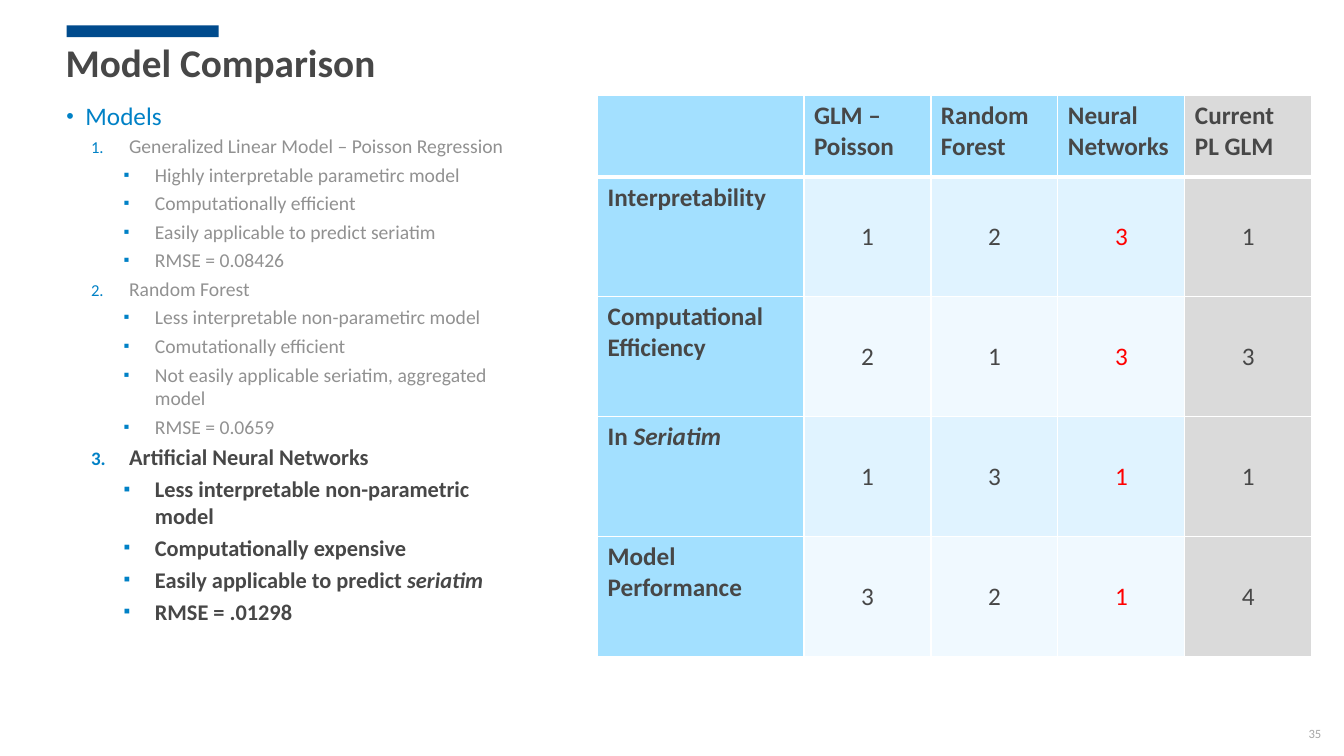
from lxml import etree
from pptx import Presentation
from pptx.dml import color
from pptx.enum import shapes, text
from pptx.oxml import ns
from pptx.util import Cm, Pt

FONT = "Calibri"
DARK, GREY, BLUE, RED, WHITE = "474747", "919191", "0081C6", "FF0000", "FFFFFF"
HEAD, BAND, BAND_ALT, CURRENT = "A3E0FF", "E0F3FF", "F0F9FF", "DADADA"

# Each model: name, text size, colour, bold, points (a point is a list of runs)
MODELS = [
    ("Generalized Linear Model – Poisson Regression", 14, GREY, False, [
        ["Highly interpretable parametirc model"],
        ["Computationally efficient"],
        ["Easily applicable to predict seriatim"],
        ["RMSE = 0.08426"]]),
    ("Random Forest", 14, GREY, False, [
        ["Less interpretable non-parametirc model"],
        ["Comutationally efficient"],
        ["Not easily applicable seriatim, aggregated model"],
        ["RMSE = 0.0659"]]),
    ("Artificial Neural Networks", 16, DARK, True, [
        ["Less interpretable non-parametric model"],
        ["Computationally expensive"],
        ["Easily applicable to predict ", "seriatim"],
        ["RMSE = .01298"]]),
]
COLUMNS = ["", "GLM – Poisson", "Random Forest", "Neural Networks", "Current PL GLM"]
RANKS = [
    (["Interpretability"], [1, 2, 3, 1]),
    (["Computational Efficiency"], [2, 1, 3, 3]),
    (["In ", "Seriatim"], [1, 3, 1, 1]),
    (["Model Performance"], [3, 2, 1, 4]),
]


def rgb(value):
    return color.RGBColor.from_string(value)


def place(sp, left, top, width, height):
    sp.left, sp.top, sp.width, sp.height = Cm(left), Cm(top), Cm(width), Cm(height)


def add_runs(p, runs, size, colour, bold=False):
    """Add the runs; every run after the first is italic."""
    for i, words in enumerate(runs):
        r = p.add_run()
        r.text = words
        r.font.name, r.font.size = FONT, Pt(size)
        r.font.bold, r.font.italic = bold, i > 0
        r.font.color.rgb = rgb(colour)


def sub(parent, tag, **attrs):
    return etree.SubElement(parent, ns.qn(tag), {k: str(v) for k, v in attrs.items()})


def set_bullet(p, indent, hanging, char=None):
    """Bullet with the given character, or a number if there is none."""
    ppr = p._p.get_or_add_pPr()
    ppr.set("marL", str(Cm(indent)))
    ppr.set("indent", str(-Cm(hanging)))
    sub(sub(ppr, "a:buClr"), "a:srgbClr", val=BLUE)
    sub(ppr, "a:buSzPct", val=85000)
    sub(ppr, "a:buFont", typeface="Arial" if char else FONT)
    if char:
        sub(ppr, "a:buChar", char=char)
    else:
        sub(ppr, "a:buAutoNum", type="arabicPeriod")


def add_item(tf, level, runs, size, colour, bold=False):
    first = not tf.paragraphs[0].runs
    p = tf.paragraphs[0] if first else tf.add_paragraph()
    p.level = level
    indent, hanging, char, after = [
        (0.48, 0.48, "•", 1.8), (1.58, 0.96, None, 3.6), (2.23, 0.79, "▪", 3.6)][level]
    set_bullet(p, indent, hanging, char)
    p.line_spacing = 0.95 if level == 0 else 1.0
    p.space_before, p.space_after = Pt(0), Pt(after)
    add_runs(p, runs, size, colour, bold)


def add_title(sp, words):
    place(sp, 1.4, 0.97, 30.48, 2.03)
    tf = sp.text_frame
    tf.auto_size = text.MSO_AUTO_SIZE.NONE
    tf.vertical_anchor = text.MSO_ANCHOR.TOP
    p = tf.paragraphs[0]
    p.alignment, p.line_spacing = text.PP_ALIGN.LEFT, 0.9
    add_runs(p, [words], 28, DARK, True)


def add_models(sp):
    place(sp, 1.42, 2.46, 11.53, 12.57)
    tf = sp.text_frame
    tf.auto_size = text.MSO_AUTO_SIZE.NONE
    add_item(tf, 0, ["Models"], 18, BLUE)
    for name, size, colour, bold, points in MODELS:
        add_item(tf, 1, [name], size, colour, bold)
        for runs in points:
            add_item(tf, 2, runs, size, colour, bold)


def add_accent_bar(slide):
    sp = slide.shapes.add_shape(
        shapes.MSO_SHAPE.RECTANGLE, Cm(1.68), Cm(0.64), Cm(3.83), Cm(0.3))
    sp.shadow.inherit = False
    sp.fill.solid()
    sp.fill.fore_color.rgb = rgb("004B8D")
    sp.line.fill.background()


def add_page_number(slide, number):
    sp = slide.shapes.add_textbox(Cm(32.44), Cm(17.98), Cm(1.4), Cm(1.02))
    tf = sp.text_frame
    tf.word_wrap = True
    tf.vertical_anchor = text.MSO_ANCHOR.MIDDLE
    tf.paragraphs[0].alignment = text.PP_ALIGN.CENTER
    add_runs(tf.paragraphs[0], [number], 9, "A6A6A6")


def set_cell(cell, runs, fill, colour=DARK, rank=False, top=1, bottom=1):
    tcpr = cell._tc.get_or_add_tcPr()
    for side, width in (("L", 1), ("R", 1), ("T", top), ("B", bottom)):
        line = sub(tcpr, "a:ln" + side, w=Pt(width))
        sub(sub(line, "a:solidFill"), "a:srgbClr", val=WHITE)
    cell.fill.solid()
    cell.fill.fore_color.rgb = rgb(fill)
    p = cell.text_frame.paragraphs[0]
    if rank:
        cell.vertical_anchor = text.MSO_ANCHOR.MIDDLE
        p.alignment = text.PP_ALIGN.CENTER
    add_runs(p, [words for words in runs if words], 18, colour, not rank)


def add_rank_table(slide):
    widths = [5.2] + [3.2] * 4
    heights = [2.06] + [3.02] * 4
    table = slide.shapes.add_table(
        len(heights), len(widths), Cm(15.06), Cm(2.4),
        Cm(sum(widths)), Cm(sum(heights))).table
    table.first_row = table.horz_banding = False
    for column, width in zip(table.columns, widths):
        column.width = Cm(width)
    for row, height in zip(table.rows, heights):
        row.height = Cm(height)

    # Header row
    last = len(COLUMNS) - 1
    for c, name in enumerate(COLUMNS):
        set_cell(table.cell(0, c), [name], CURRENT if c == last else HEAD, bottom=3)

    # Criteria and ranks; neural networks stand out in red
    for r, (criterion, ranks) in enumerate(RANKS, 1):
        top = 3 if r == 1 else 1
        set_cell(table.cell(r, 0), criterion, HEAD, top=top)
        band = BAND if r % 2 else BAND_ALT
        for c, rank in enumerate(ranks, 1):
            set_cell(table.cell(r, c), [str(rank)], CURRENT if c == last else band,
                     RED if COLUMNS[c] == "Neural Networks" else DARK, True, top)


def main():
    prs = Presentation()
    prs.slide_width, prs.slide_height = Cm(33.87), Cm(19.05)
    slide = prs.slides.add_slide(prs.slide_layouts[1])
    add_accent_bar(slide)
    add_title(slide.shapes.title, "Model Comparison")
    add_models(slide.placeholders[1])
    add_page_number(slide, "35")
    add_rank_table(slide)
    prs.save("out.pptx")


if __name__ == "__main__":
    main()
